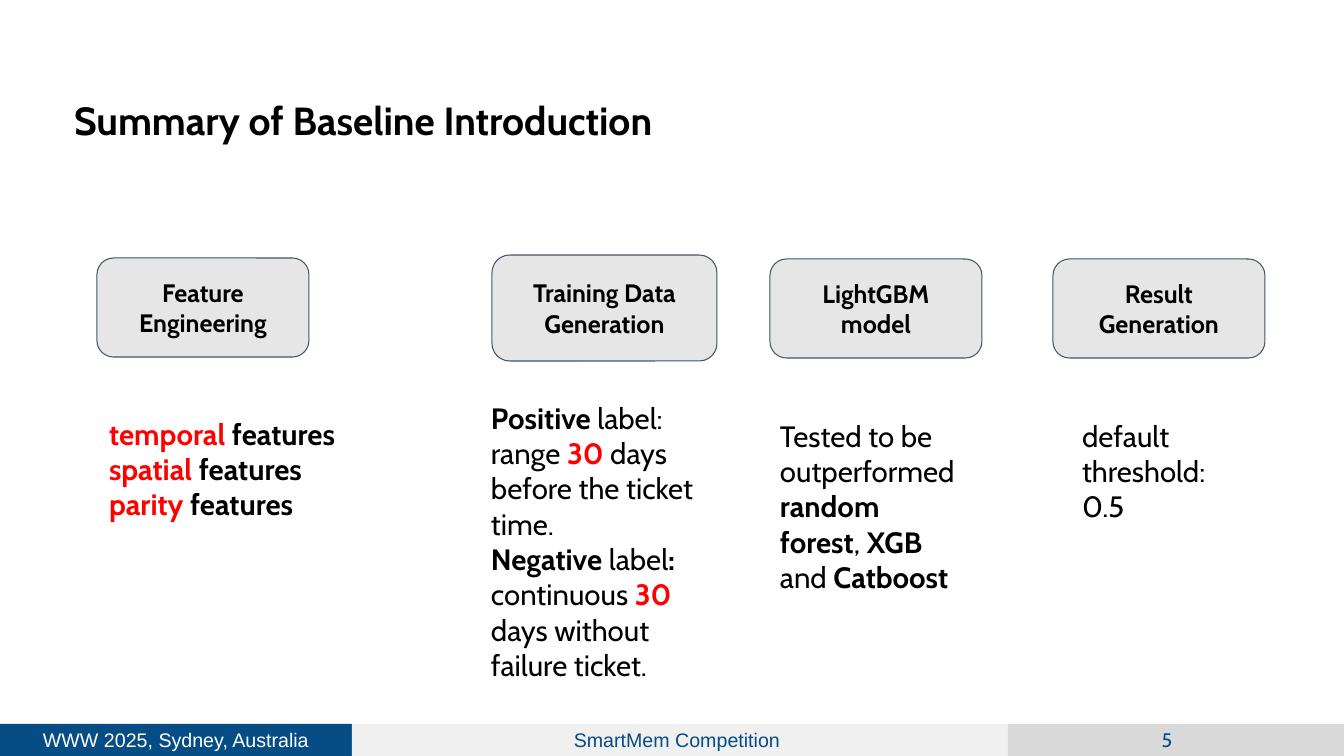
from pptx import Presentation
from pptx.dml.color import RGBColor
from pptx.enum.shapes import MSO_SHAPE
from pptx.enum.text import MSO_ANCHOR, PP_ALIGN
from pptx.util import Pt

EMU_PER_INCH, PX_PER_INCH = 914400, 100.8
BLACK = RGBColor(0x00, 0x00, 0x00)
WHITE = RGBColor(0xFF, 0xFF, 0xFF)
RED = RGBColor(0xFF, 0x00, 0x00)
NAVY = RGBColor(0x06, 0x4C, 0x85)
SLATE = RGBColor(0x44, 0x54, 0x6A)
STAGE_GREY = RGBColor(0xE7, 0xE6, 0xE6)
PALE_GREY = RGBColor(0xF0, 0xF0, 0xF0)
MID_GREY = RGBColor(0xD9, 0xD9, 0xD9)


def px(length):
    return round(length * EMU_PER_INCH / PX_PER_INCH)


def write(shape, paragraphs, size, font="Cabin", align=PP_ALIGN.LEFT,
          anchor=MSO_ANCHOR.TOP, insets=(10, 10, 10, 10)):
    """Fill a shape with paragraphs of (text, bold, colour) runs."""
    frame = shape.text_frame
    left, top, right, bottom = (px(inset) for inset in insets)
    layout = {"word_wrap": True, "vertical_anchor": anchor,
              "margin_left": left, "margin_top": top,
              "margin_right": right, "margin_bottom": bottom}
    for name, value in layout.items():
        setattr(frame, name, value)
    for index, runs in enumerate(paragraphs):
        paragraph = frame.add_paragraph() if index else frame.paragraphs[0]
        paragraph.alignment = align
        for text, bold, colour in runs:
            run = paragraph.add_run()
            run.text = text
            for name, value in {"name": font, "size": Pt(size), "bold": bold}.items():
                setattr(run.font, name, value)
            run.font.color.rgb = colour


prs = Presentation()
prs.slide_width, prs.slide_height = px(1344), px(756)
slide = prs.slides.add_slide(prs.slide_layouts[5])
shapes = slide.shapes

# Footer
footer = [
    (0, 352, NAVY, WHITE, "WWW 2025, Sydney, Australia", "Arial", 4),
    (352, 656, PALE_GREY, NAVY, "SmartMem Competition", "Arial", 10),
    (1008, 336, MID_GREY, NAVY, "5", "Cabin", 22),
]
for left, width, fill, colour, text, font, right_inset in footer:
    bar = shapes.add_shape(MSO_SHAPE.RECTANGLE, px(left), px(724), px(width), px(32))
    bar.shadow.inherit = False
    bar.fill.solid()
    bar.fill.fore_color.rgb = fill
    bar.line.fill.background()
    write(bar, [[(text, False, colour)]], 14, font, PP_ALIGN.CENTER,
          MSO_ANCHOR.MIDDLE, (4, 0, right_inset, 0))

# Title
title = shapes.title
title.left, title.top, title.width, title.height = px(64), px(86), px(1216), px(64)
write(title, [[("Summary of Baseline Introduction", True, BLACK)]], 28)

# Pipeline stages
stages = [
    ("Feature Engineering", 97, 258, 212, 99),
    ("Training Data Generation", 492, 255, 225, 106),
    ("LightGBM model", 770, 259, 212, 99),
    ("Result Generation", 1053, 259, 212, 99),
]
for name, left, top, width, height in stages:
    stage = shapes.add_shape(MSO_SHAPE.ROUNDED_RECTANGLE,
                             px(left), px(top), px(width), px(height))
    stage.shadow.inherit = False
    stage.fill.solid()
    stage.fill.fore_color.rgb = STAGE_GREY
    stage.line.color.rgb = SLATE
    stage.line.width = Pt(0.75)
    write(stage, [[(name, True, BLACK)]], 18, align=PP_ALIGN.CENTER,
          anchor=MSO_ANCHOR.MIDDLE, insets=(11, 5, 11, 5))

# Notes below the stages
feature_lines = [[(kind, True, RED), (" features", True, BLACK)]
                 for kind in ("temporal", "spatial", "parity")]
label_lines = [
    [("Positive", True, BLACK), (" label:", False, BLACK)],
    [("range ", False, BLACK), ("30", True, RED),
     (" days before the ticket time.", False, BLACK)],
    [("Negative ", True, BLACK), ("label", False, BLACK), (":", True, BLACK)],
    [("continuous ", False, BLACK), ("30", True, RED),
     (" days without failure ticket.", False, BLACK)],
]
model_lines = [[
    ("Tested to be outperformed ", False, BLACK), ("random forest", True, BLACK),
    (", ", False, BLACK), ("XGB", True, BLACK),
    (" and ", False, BLACK), ("Catboost", True, BLACK),
]]
result_lines = [[("default threshold: 0.5", False, BLACK)]]
notes = [
    (feature_lines, 99, 406, 353, 160),
    (label_lines, 481, 390, 236, 300),
    (model_lines, 770, 408, 199, 196),
    (result_lines, 1072, 408, 174, 125),
]
for lines, left, top, width, height in notes:
    note = shapes.add_textbox(px(left), px(top), px(width), px(height))
    write(note, lines, 21)

prs.save("out.pptx")
